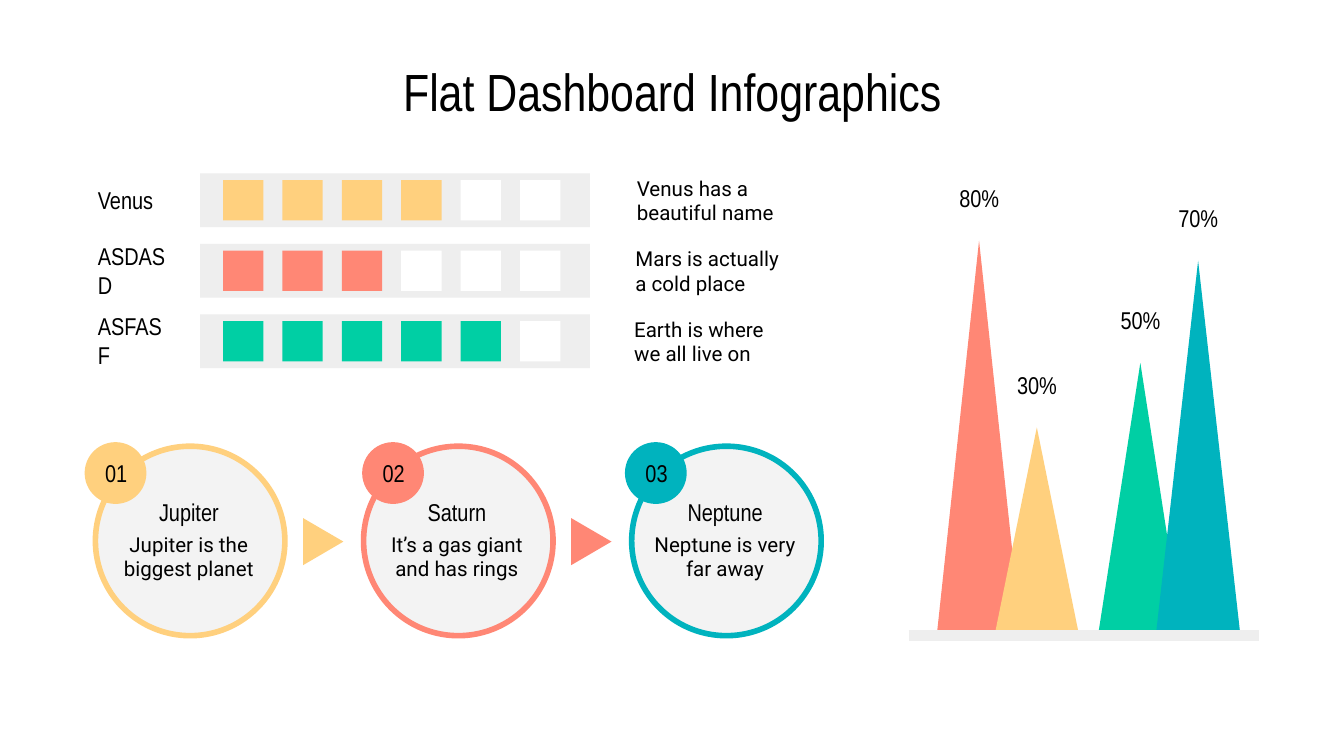
from dataclasses import dataclass

from lxml import etree
from pptx import Presentation
from pptx.dml.color import RGBColor
from pptx.enum.shapes import MSO_CONNECTOR, MSO_SHAPE
from pptx.enum.text import MSO_ANCHOR, PP_ALIGN
from pptx.oxml.ns import qn
from pptx.util import Inches, Pt

RECT, OVAL = MSO_SHAPE.RECTANGLE, MSO_SHAPE.OVAL
TRIANGLE = MSO_SHAPE.ISOSCELES_TRIANGLE
STRAIGHT = MSO_CONNECTOR.STRAIGHT
LEFT, CENTER = PP_ALIGN.LEFT, PP_ALIGN.CENTER
TOP, MIDDLE = MSO_ANCHOR.TOP, MSO_ANCHOR.MIDDLE


@dataclass(frozen=True)
class Theme:
    yellow: str = "FFD07E"
    coral: str = "FF8775"
    green: str = "00CFA4"
    teal: str = "00B3BE"
    track: str = "EEEEEE"
    disc: str = "F3F3F3"
    white: str = "FFFFFF"
    ink: str = "000000"
    heading_font: str = "Arial Narrow"
    body_font: str = "Roboto"
    title_size: int = 28
    label_size: int = 13
    body_size: int = 11


THEME = Theme()
TITLE = (THEME.heading_font, THEME.title_size)
HEADING = (THEME.heading_font, THEME.label_size)
BODY = (THEME.body_font, THEME.body_size)


def write(frame, text, style, align=LEFT, anchor=MIDDLE):
    frame.text = text
    frame.word_wrap = True
    frame.vertical_anchor = anchor
    frame.margin_left = frame.margin_right = Inches(0.1)
    frame.margin_top = frame.margin_bottom = Inches(0.1)
    paragraph = frame.paragraphs[0]
    paragraph.alignment = align
    paragraph.font.name, size = style
    paragraph.font.size = Pt(size)
    paragraph.font.color.rgb = RGBColor.from_string(THEME.ink)


def add_text(slide, box, text, style, align=LEFT):
    label = slide.shapes.add_textbox(*map(Inches, box))
    write(label.text_frame, text, style, align)


def add_flat(slide, kind, box, fill, outline=None):
    flat = slide.shapes.add_shape(kind, *map(Inches, box))
    flat.shadow.inherit = False
    flat.fill.solid()
    flat.fill.fore_color.rgb = RGBColor.from_string(fill)
    if outline:
        flat.line.color.rgb = RGBColor.from_string(outline)
        flat.line.width = Pt(3)
    else:
        flat.line.fill.background()
    return flat


def add_title(slide, box, text):
    title = slide.shapes.title
    title.left, title.top, title.width, title.height = map(Inches, box)
    write(title.text_frame, text, TITLE, CENTER, TOP)


def add_rating_row(slide, left, top, name, score, color, fact, fact_left):
    add_flat(slide, RECT, (left + 0.86, top, 2.9, 0.4), THEME.track)
    pitch = 2.21 / 5
    for step in range(6):
        fill = color if step < score else THEME.white
        add_flat(slide, RECT, (left + 1.03 + pitch * step, top + 0.05, 0.3, 0.3), fill)
    add_text(slide, (left + fact_left, top - 0.04, 1.33, 0.48), fact, BODY)
    add_text(slide, (left, top + 0.06, 0.73, 0.27), name, HEADING)


def add_ratings(slide, left, top):
    rows = [
        ("Venus", 4, THEME.yellow, "Venus has a beautiful name", 4.01),
        ("ASDASD", 3, THEME.coral, "Mars is actually a cold place", 4.0),
        ("ASFASF", 5, THEME.green, "Earth is where we all live on", 3.99),
    ]
    pitch = 1.05 / 2
    for index, row in enumerate(rows):
        add_rating_row(slide, left, top + pitch * index, *row)


def add_step(slide, left, top, number, name, fact, color, badge_shift, has_next):
    badge_left = left + badge_shift
    add_flat(slide, OVAL, (left, top, 1.41, 1.41), THEME.disc, color)
    if has_next:
        arrow = add_flat(slide, TRIANGLE, (left + 1.52, top + 0.56, 0.35, 0.3), color)
        arrow.rotation = 90
    add_flat(slide, OVAL, (badge_left, top - 0.03, 0.46, 0.46), color)
    add_text(slide, (left + 0.03, top + 0.58, 1.33, 0.48), fact, BODY, CENTER)
    add_text(slide, (left + 0.03, top + 0.35, 1.33, 0.27), name, HEADING, CENTER)
    add_text(slide, (badge_left + 0.02, top + 0.06, 0.43, 0.27), number, HEADING, CENTER)


def add_steps(slide, left, top):
    steps = [
        ("01", "Jupiter", "Jupiter is the biggest planet", THEME.yellow, -0.08),
        ("02", "Saturn", "It’s a gas giant and has rings", THEME.coral, -0.01),
        ("03", "Neptune", "Neptune is very far away", THEME.teal, -0.05),
    ]
    pitch = 3.99 / 2
    for index, step in enumerate(steps):
        has_next = index < len(steps) - 1
        add_step(slide, left + pitch * index, top, *step, has_next)


def add_peaks(slide, left, baseline, width):
    peaks = [
        ("80%", 0.21, 2.94, THEME.coral),
        ("30%", 0.64, 1.55, THEME.yellow),
        ("50%", 1.41, 2.03, THEME.green),
        ("70%", 1.84, 2.79, THEME.teal),
    ]
    peak_width, label_width = 0.63, 0.52
    for share, offset, height, color in peaks:
        peak_left, apex = left + offset, baseline - height
        add_flat(slide, TRIANGLE, (peak_left, apex, peak_width, height), color)
        label_left = peak_left + (peak_width - label_width) / 2
        label_box = (label_left, apex - 0.56, label_width, 0.48)
        add_text(slide, label_box, share, HEADING, CENTER)
    ends = map(Inches, (left, baseline, left + width, baseline))
    ground = slide.shapes.add_connector(STRAIGHT, *ends)
    ground.line.color.rgb = RGBColor.from_string(THEME.track)
    ground.line.width = Pt(6)
    etree.SubElement(ground._element.spPr, qn("a:effectLst"))


def main():
    deck = Presentation()
    deck.slide_width = Inches(10)
    deck.slide_height = deck.slide_width * 9 // 16
    slide = deck.slides.add_slide(deck.slide_layouts[5])
    add_title(slide, (0.45, 0.34, 9.1, 0.63), "Flat Dashboard Infographics")
    add_steps(slide, 0.71, 3.32)
    add_ratings(slide, 0.63, 1.29)
    add_peaks(slide, 6.76, 4.73, 2.61)
    deck.save("out.pptx")


if __name__ == "__main__":
    main()
